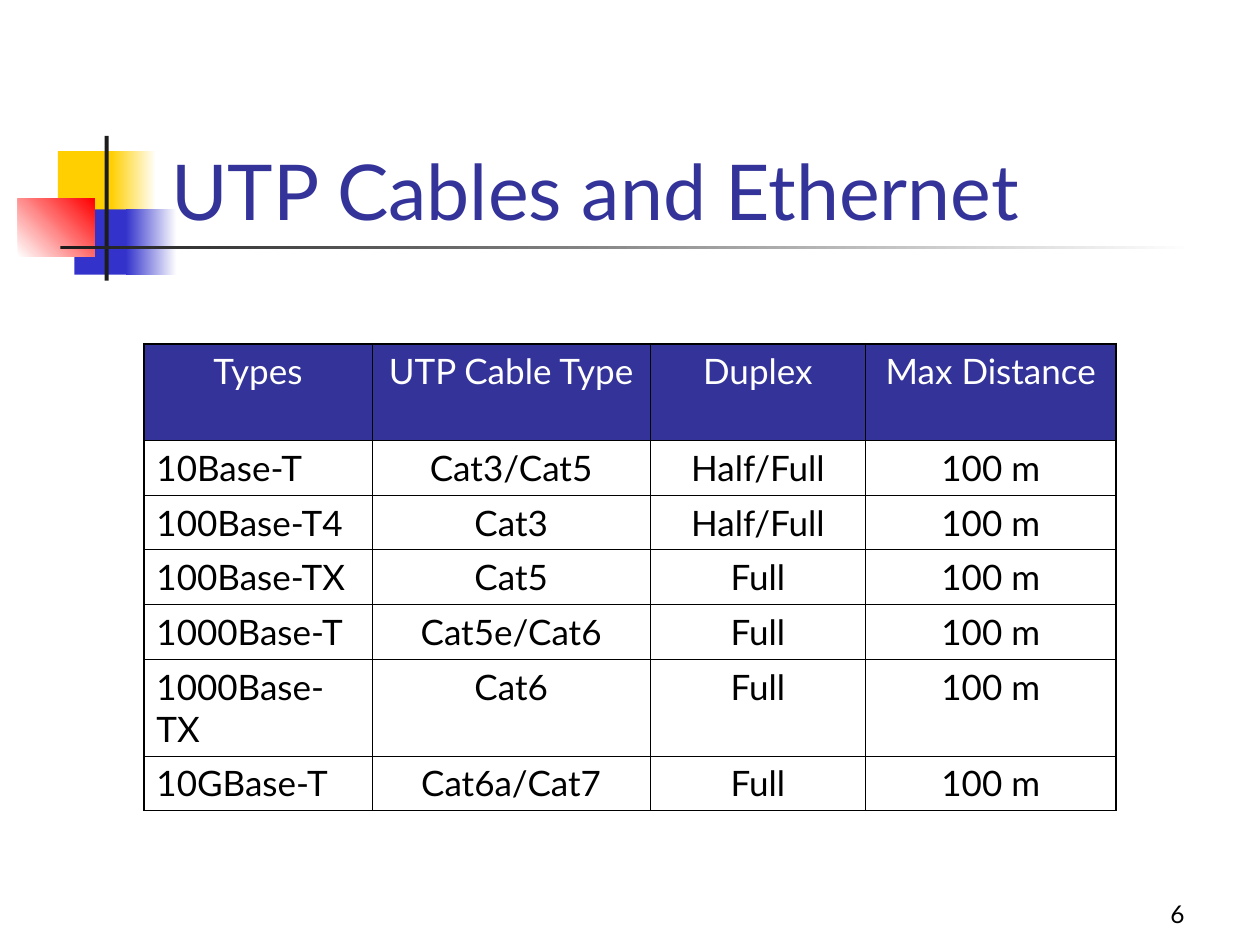
from lxml import etree
from pptx import Presentation
from pptx.dml.color import RGBColor
from pptx.enum.shapes import MSO_SHAPE
from pptx.enum.text import MSO_ANCHOR, MSO_AUTO_SIZE, PP_ALIGN
from pptx.oxml.ns import qn
from pptx.util import Cm, Pt

RECTANGLE = MSO_SHAPE.RECTANGLE
BOTTOM = MSO_ANCHOR.BOTTOM
NO_AUTOFIT = MSO_AUTO_SIZE.NONE
LEFT, CENTER, RIGHT = PP_ALIGN.LEFT, PP_ALIGN.CENTER, PP_ALIGN.RIGHT

FONT = "Lato"
NAVY, BLACK, WHITE = "333399", "000000", "FFFFFF"
YELLOW, BLUE, RED, CHARCOAL = "FFCF01", "3333CC", "FF0000", "1C1C1C"
THIN, THICK = 0.45, 1.08

ORNAMENTS = [
    ((1.17, 3.05, 1.22, 1.32), [YELLOW], 0),
    ((2.24, 3.05, 0.91, 1.32), [YELLOW, WHITE], 0),
    ((1.5, 4.22, 1.17, 1.32), [BLUE], 0),
    ((2.54, 4.22, 1.02, 1.32), [BLUE, WHITE], 0),
    ((0.36, 4.01, 1.55, 1.17), [WHITE, RED], 45),
    ((2.11, 2.74, 0.08, 2.92), [CHARCOAL], 0),
    ((1.22, 4.95, 22.86, 0.08), [CHARCOAL, WHITE], 0),
]

COLUMN_WIDTHS = [4.6, 5.61, 4.34, 5.05]
ROW_HEIGHTS = [1.95, 1.1, 1.1, 1.1, 1.1, 1.95, 1.1]
CABLES = [
    ("Types", "UTP Cable Type", "Duplex", "Max Distance"),
    ("10Base-T", "Cat3/Cat5", "Half/Full", "100 m"),
    ("100Base-T4", "Cat3", "Half/Full", "100 m"),
    ("100Base-TX", "Cat5", "Full", "100 m"),
    ("1000Base-T", "Cat5e/Cat6", "Full", "100 m"),
    ("1000Base-TX", "Cat6", "Full", "100 m"),
    ("10GBase-T", "Cat6a/Cat7", "Full", "100 m"),
]


def rgb(value):
    """Turn a hex string into a colour."""
    return RGBColor.from_string(value)


def apply_format(target, formats):
    """Set every attribute named in a dict of format values."""
    for name, value in formats.items():
        setattr(target, name, value)


def write_text(frame, text, size, color, align):
    """Write one formatted paragraph into a text frame."""
    paragraph = frame.paragraphs[0]
    paragraph.text = text
    paragraph.alignment = align
    apply_format(paragraph.font, {"name": FONT, "size": Pt(size)})
    paragraph.font.color.rgb = rgb(color)


def add_ornament(slide, box, colors, angle):
    """Add a borderless rectangle with a solid or gradient fill."""
    ornament = slide.shapes.add_shape(RECTANGLE, *map(Cm, box))
    ornament.shadow.inherit = False
    ornament.line.fill.background()
    if len(colors) == 1:
        ornament.fill.solid()
        ornament.fill.fore_color.rgb = rgb(colors[0])
        return
    ornament.fill.gradient()
    ornament.fill.gradient_angle = angle
    for stop, color in zip(ornament.fill.gradient_stops, colors):
        stop.color.rgb = rgb(color)


def add_title(slide, text):
    """Move and fill the title placeholder."""
    title = slide.shapes.title
    apply_format(title, {"left": Cm(3.2), "top": Cm(1.7),
                         "width": Cm(21.64), "height": Cm(3.18)})
    apply_format(title.text_frame, {"vertical_anchor": BOTTOM, "word_wrap": True,
                                    "auto_size": NO_AUTOFIT})
    write_text(title.text_frame, text, 44, NAVY, LEFT)


def add_page_number(slide, number):
    """Add the page number at the lower right."""
    page = slide.shapes.add_textbox(Cm(18.85), Cm(17.58), Cm(5.28), Cm(1.27))
    apply_format(page.text_frame, {"vertical_anchor": BOTTOM, "word_wrap": True})
    write_text(page.text_frame, number, 14, BLACK, RIGHT)


def set_borders(cell, widths):
    """Draw the cell's borders from a dict of side to width in points."""
    properties = cell._tc.get_or_add_tcPr()
    for side, width in widths.items():
        line = etree.SubElement(properties, qn(f"a:ln{side}"), w=str(Pt(width)))
        fill = etree.SubElement(line, qn("a:solidFill"))
        etree.SubElement(fill, qn("a:srgbClr"), val=BLACK)


def add_cable_table(slide):
    """Add the cable table with a navy header and a thicker outer frame."""
    rows, columns = len(CABLES), len(COLUMN_WIDTHS)
    table = slide.shapes.add_table(
        rows, columns, Cm(2.9), Cm(6.93),
        Cm(sum(COLUMN_WIDTHS)), Cm(sum(ROW_HEIGHTS))).table
    apply_format(table, {"first_row": False, "horz_banding": False})
    for column, width in zip(table.columns, COLUMN_WIDTHS):
        column.width = Cm(width)
    for row, height in zip(table.rows, ROW_HEIGHTS):
        row.height = Cm(height)
    for r, entries in enumerate(CABLES):
        for c, entry in enumerate(entries):
            cell = table.cell(r, c)
            outer = {"L": c == 0, "R": c == columns - 1,
                     "T": r == 0, "B": r == rows - 1}
            set_borders(cell, {side: THICK if edge else THIN
                               for side, edge in outer.items()})
            if r == 0:
                cell.fill.solid()
                cell.fill.fore_color.rgb = rgb(NAVY)
            else:
                cell.fill.background()
            write_text(cell.text_frame, entry, 20, BLACK if r else WHITE,
                       LEFT if r and c == 0 else CENTER)


def main():
    """Build the slide and save it."""
    presentation = Presentation()
    apply_format(presentation, {"slide_width": Cm(25.4), "slide_height": Cm(19.05)})
    slide = presentation.slides.add_slide(presentation.slide_layouts[5])
    for box, colors, angle in ORNAMENTS:
        add_ornament(slide, box, colors, angle)
    add_page_number(slide, "6")
    add_title(slide, "UTP Cables and Ethernet")
    add_cable_table(slide)
    presentation.save("out.pptx")


if __name__ == "__main__":
    main()
